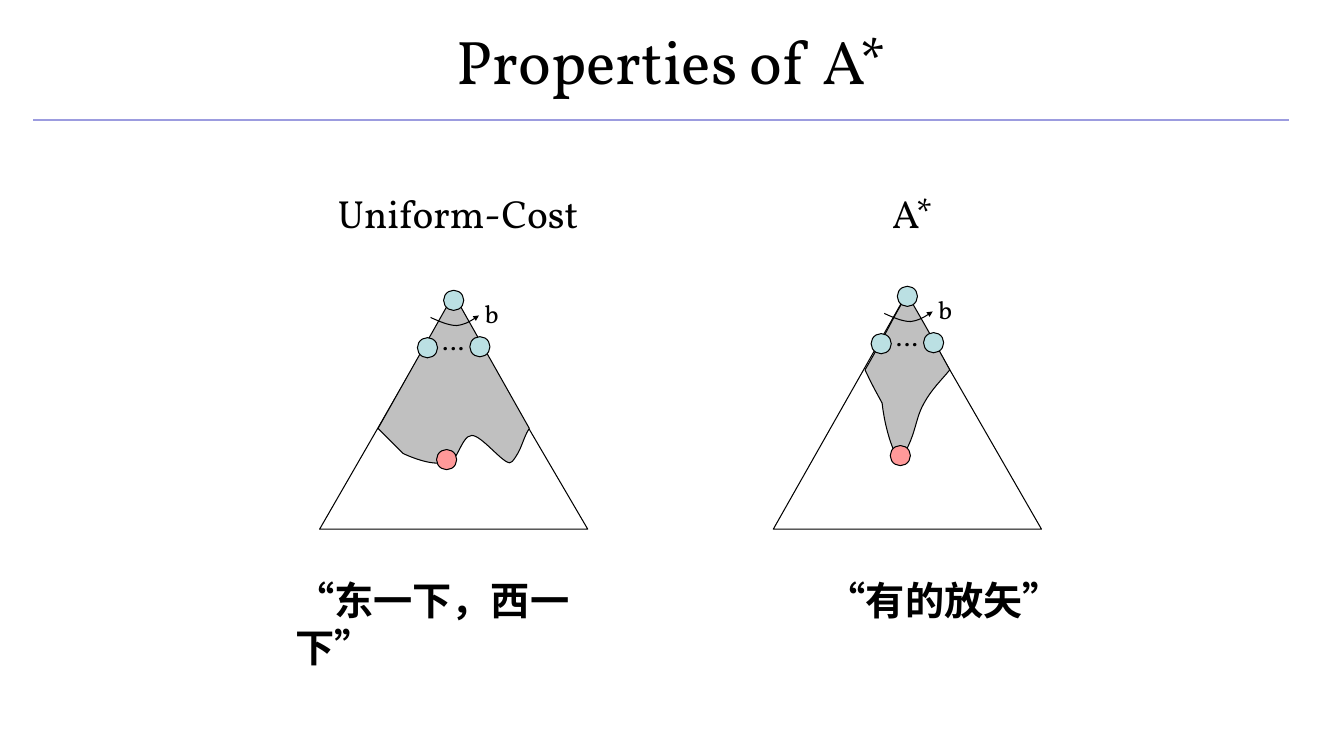
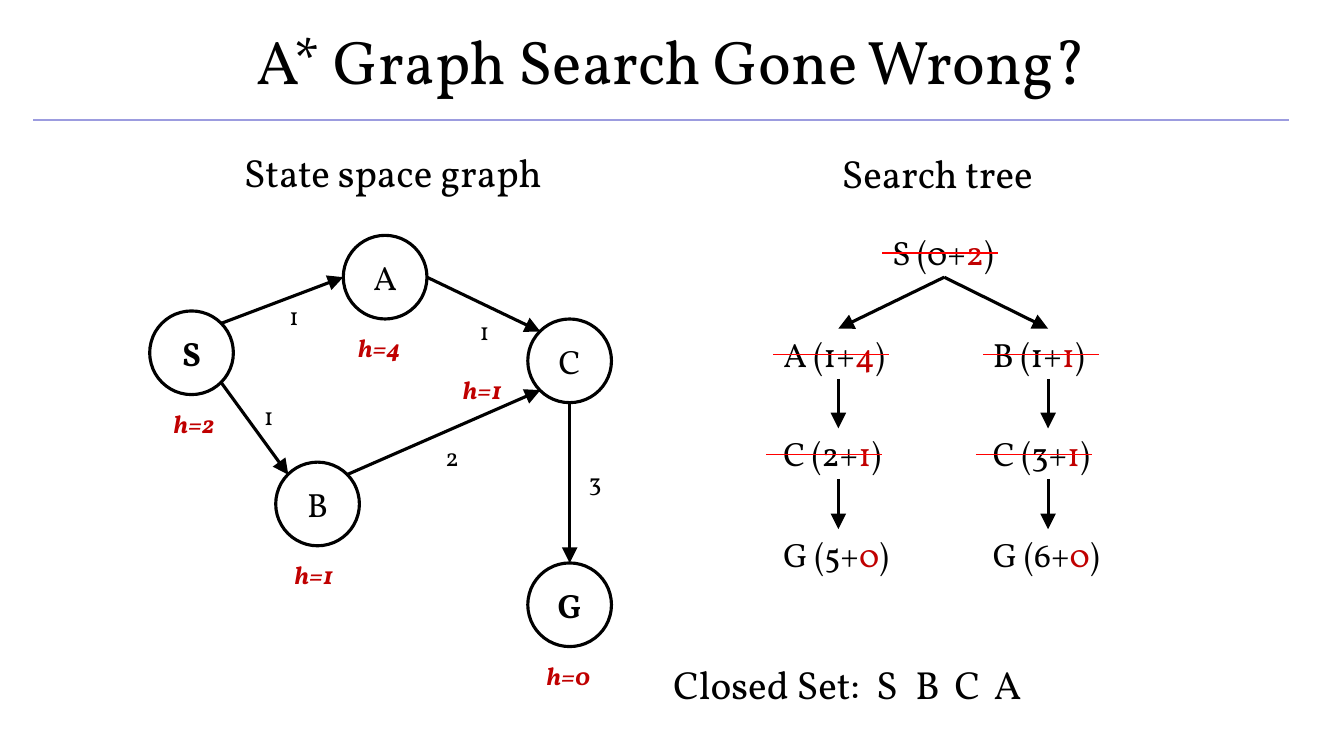
from lxml import etree
from pptx import Presentation
from pptx.dml.color import RGBColor
from pptx.enum.shapes import MSO_CONNECTOR, MSO_SHAPE
from pptx.enum.text import MSO_ANCHOR, MSO_AUTO_SIZE, PP_ALIGN
from pptx.oxml.ns import qn
from pptx.util import Inches, Pt

STRAIGHT = MSO_CONNECTOR.STRAIGHT
OVAL = MSO_SHAPE.OVAL
LEFT, CENTER = PP_ALIGN.LEFT, PP_ALIGN.CENTER
MIDDLE = MSO_ANCHOR.MIDDLE
FIXED, GROW = MSO_AUTO_SIZE.NONE, MSO_AUTO_SIZE.SHAPE_TO_FIT_TEXT

BLACK = RGBColor(0x00, 0x00, 0x00)
WHITE = RGBColor(0xFF, 0xFF, 0xFF)
RULE = RGBColor(0x9C, 0x9C, 0xDF)
GREY = RGBColor(0xC0, 0xC0, 0xC0)
BLUE = RGBColor(0xBB, 0xE0, 0xE3)
PINK = RGBColor(0xFF, 0x99, 0x99)
DARK = RGBColor(0xC0, 0x00, 0x00)
RED = RGBColor(0xFF, 0x00, 0x00)

WIDE, HIGH = 13.33, 7.5
SERIF, SANS = "Vollkorn", "Calibri"
TOP, BOTTOM = 0, 2
THIN, THICK = 0.75, 2.25

# Paths relative to a cone's box: one point is a line, three are a Bézier curve.
ARC = [[(1.1, 0.19)],
       [(1.19, 0.23), (1.28, 0.27), (1.36, 0.27)],
       [(1.44, 0.26), (1.51, 0.22), (1.58, 0.17)]]
BROAD = [[(1.33, -0.04)], [(0.58, 1.29)], [(0.83, 1.54)],
         [(0.83, 1.54), (1.12, 1.68), (1.25, 1.62)],
         [(1.36, 1.68), (1.4, 1.36), (1.51, 1.36)],
         [(1.62, 1.36), (1.86, 1.7), (1.91, 1.62)],
         [(2.01, 1.5), (2.01, 1.4), (2.08, 1.29)]]
NARROW = [[(1.33, 0)],
          [(1.18, 0.24), (1.17, 0.3), (0.91, 0.75)],
          [(0.99, 0.92), (1.01, 0.95), (1.08, 1.08)],
          [(1.08, 1.08), (1.11, 1.42), (1.25, 1.66)],
          [(1.42, 1.41), (1.4, 1.25), (1.49, 1.09)],
          [(1.57, 0.94), (1.67, 0.85), (1.75, 0.75)],
          [(1.5, 0.29), (1.43, 0.18), (1.33, 0)]]

# Name: centre, bold, heuristic, offset of the heuristic from the centre.
NODES = {"S": (0.41, 1.17, True, "h=2", -0.28, 0.5),
         "A": (2.33, 0.42, False, "h=4", -0.37, 0.5),
         "B": (1.66, 2.67, False, "h=1", -0.33, 0.5),
         "C": (4.16, 1.25, False, "h=1", -1.16, 0.08),
         "G": (4.16, 3.67, True, "h=0", -0.33, 0.5)}
# From, side, to, side, cost, place of the cost.
EDGES = [("S", "ne", "A", "w", "1", 1.28, 0.6),
         ("S", "se", "B", "nw", "1", 1.03, 1.59),
         ("B", "ne", "C", "sw", "2", 2.83, 2),
         ("A", "e", "C", "nw", "1", 3.17, 0.75),
         ("C", "s", "G", "n", "3", 4.25, 2.25)]
SIDES = {"n": (0, -1), "e": (1, 0), "s": (0, 1), "w": (-1, 0),
         "ne": (0.7, -0.7), "se": (0.7, 0.7),
         "sw": (-0.7, 0.7), "nw": (-0.7, -0.7)}
# Path cost, heuristic, start of the strike (None if the node is open).
BRANCHES = [(0, [("A (1+", "4", 0), ("C (2+", "1", -0.07), ("G (5+", "0", None)]),
            (2.08, [("B (1+", "1", 0), ("C (3+", "1", -0.07), ("G (6+", "0", None)])]
ROWS = (1.01, 2, 3)


def arrow(shape, size):
    line = shape.line._get_or_add_ln()
    etree.SubElement(line, qn("a:tailEnd"), type="triangle", w=size, len=size)


def link(slide, x1, y1, x2, y2, color=BLACK, width=THICK, head=False):
    line = slide.shapes.add_connector(
        STRAIGHT, Inches(x1), Inches(y1), Inches(x2), Inches(y2))
    line.line.color.rgb = color
    line.line.width = Pt(width)
    if head:
        arrow(line, "lg")
    etree.SubElement(line._element.spPr, qn("a:effectLst"))
    return line


def style(par, size, color=BLACK, font=SERIF, bold=False, italic=False,
          align=LEFT):
    par.alignment = align
    par.font.name = font
    par.font.size = Pt(size)
    par.font.color.rgb = color
    par.font.bold = bold
    par.font.italic = italic


def label(slide, x, y, w, h, text, size, wrap=False, **look):
    """Add a text box; text is a string or a list of (string, colour) runs."""
    box = slide.shapes.add_textbox(Inches(x), Inches(y), Inches(w), Inches(h))
    frame = box.text_frame
    frame.word_wrap = wrap
    frame.auto_size = GROW
    par = frame.paragraphs[0]
    style(par, size, **look)
    if isinstance(text, str):
        par.add_run().text = text
    else:
        for part, color in text:
            run = par.add_run()
            run.text = part
            run.font.color.rgb = color
    return box


def paint(shape, fill, width):
    shape.shadow.inherit = False
    if fill is None:
        shape.fill.background()
    else:
        shape.fill.solid()
        shape.fill.fore_color.rgb = fill
    shape.line.color.rgb = BLACK
    shape.line.width = Pt(width)


def dot(slide, x, y, size, fill, width=THIN):
    """Add a circle centred on x, y."""
    oval = slide.shapes.add_shape(OVAL, Inches(x - size / 2),
                                  Inches(y - size / 2), Inches(size), Inches(size))
    paint(oval, fill, width)
    return oval


def bend(shape, path):
    """Merge the three segments of each curved step into one Bézier curve."""
    lines = iter(list(shape._element.iter(qn("a:lnTo"))))
    for step in path[1:]:
        parts = [next(lines) for _ in step]
        if len(parts) == 1:
            continue
        curve = etree.Element(qn("a:cubicBezTo"))
        parts[0].addprevious(curve)
        for part in parts:
            curve.append(part[0])
            part.getparent().remove(part)


def outline(slide, x, y, path, fill=None, close=True):
    points = [(Inches(x + px), Inches(y + py)) for step in path for px, py in step]
    pen = slide.shapes.build_freeform(*points[0])
    pen.add_line_segments(points[1:], close=close)
    shape = pen.convert_to_shape()
    bend(shape, path)
    paint(shape, fill, THIN)
    return shape


def page(deck, title):
    """Add a slide with the shared title and rule."""
    slide = deck.slides.add_slide(deck.slide_layouts[6])
    link(slide, 0.33, 1.19, 12.78, 1.19, RULE, 1)
    box = label(slide, 0, -0.03, WIDE, 1.25, title, 44, wrap=True, align=CENTER)
    box.text_frame.auto_size = FIXED
    box.text_frame.vertical_anchor = MIDDLE
    return slide


def cone(slide, x, y, base, region):
    """Draw a search tree whose apex is at y and whose foot is at base."""
    deep = base - y
    outline(slide, x, y, [[(0, deep)], [(2.66, deep)], [(1.32, 0)]])
    outline(slide, x, y, region, GREY)
    for dx, dy in ((1.07, 0.49), (1.59, 0.48)):
        dot(slide, x + dx, y + dy, 0.2, BLUE)
    label(slide, x + 1.12, y + 0.22, 0.3, 0.4, "…", 18, wrap=True)
    arrow(outline(slide, x, y, ARC, close=False), "sm")
    label(slide, x + 1.54, y - 0.05, 0.33, 0.4, "b", 18, wrap=True)
    dot(slide, x + 1.26, y + 1.6, 0.2, PINK)
    dot(slide, x + 1.33, y + 0.02, 0.2, BLUE)


def graph(slide, x, y):
    size = 0.83
    for name, (cx, cy, bold, guess, dx, dy) in NODES.items():
        oval = dot(slide, x + cx, y + cy, size, WHITE, THICK)
        frame = oval.text_frame
        frame.vertical_anchor = MIDDLE
        par = frame.paragraphs[0]
        style(par, 24, bold=bold, align=CENTER)
        par.add_run().text = name
        label(slide, x + cx + dx, y + cy + dy, 0.68, 0.4, guess, 18,
              color=DARK, bold=True, italic=True)

    def rim(name, side):
        cx, cy = NODES[name][:2]
        dx, dy = SIDES[side]
        return x + cx + dx * size / 2, y + cy + dy * size / 2

    for start, out, end, into, cost, dx, dy in EDGES:
        link(slide, *rim(start, out), *rim(end, into), head=True)
        label(slide, x + dx, y + dy, 0.33, 0.4, cost, 18)


def tree(slide, x, y):
    strikes = []

    def state(left, top, w, cost, guess, shift):
        if shift is not None:
            strikes.append((left + shift, top + 0.26))
        return label(slide, left, top, w, 0.5,
                     [(cost, BLACK), (guess, DARK), (")", BLACK)], 24)

    root = state(x + 1.08, y, 1.23, "S (0+", "2", 0)
    for dx, states in BRANCHES:
        above = root
        for row, parts in zip(ROWS, states):
            below = state(x + dx, y + row, 1.29, *parts)
            line = link(slide, x, y, x, y, head=True)
            line.begin_connect(above, BOTTOM)
            line.end_connect(below, TOP)
            above = below
    for left, mid in strikes:
        link(slide, left, mid, left + 1.15, mid, RED, THIN)


def compare(deck):
    slide = page(deck, "Properties of A*")
    cone(slide, 3.17, 2.96, 5.25, BROAD)
    cone(slide, 7.67, 2.92, 5.25, NARROW)
    label(slide, 3.25, 1.83, 2.92, 0.57, "Uniform-Cost", 28, wrap=True)
    label(slide, 8.75, 1.83, 0.67, 0.57, "A*", 28, wrap=True)
    for x, text, align in ((2.83, "“东一下，西一下”", LEFT),
                           (7.53, "“有的放矢”", CENTER)):
        label(slide, x, 5.67, 3.67, 0.57, text, 28, wrap=True,
              font=SANS, bold=True, align=align)


def failure(deck):
    slide = page(deck, "A* Graph Search Gone Wrong?")
    graph(slide, 1.49, 2.33)
    tree(slide, 7.67, 2.25)
    label(slide, 2.32, 1.42, 3.24, 0.57, "State space graph", 28)
    label(slide, 8.25, 1.43, 2.1, 0.57, "Search tree", 28)
    label(slide, 6.58, 6.5, 2.12, 0.57, "Closed Set:", 28)
    for i, name in enumerate("SBCA"):
        label(slide, 8.59 + 0.39 * i, 6.5, 0.41 + 0.03 * i, 0.57, name, 28)


def main():
    deck = Presentation()
    deck.slide_width, deck.slide_height = Inches(WIDE), Inches(HIGH)
    compare(deck)
    failure(deck)
    deck.save("out.pptx")


if __name__ == "__main__":
    main()
